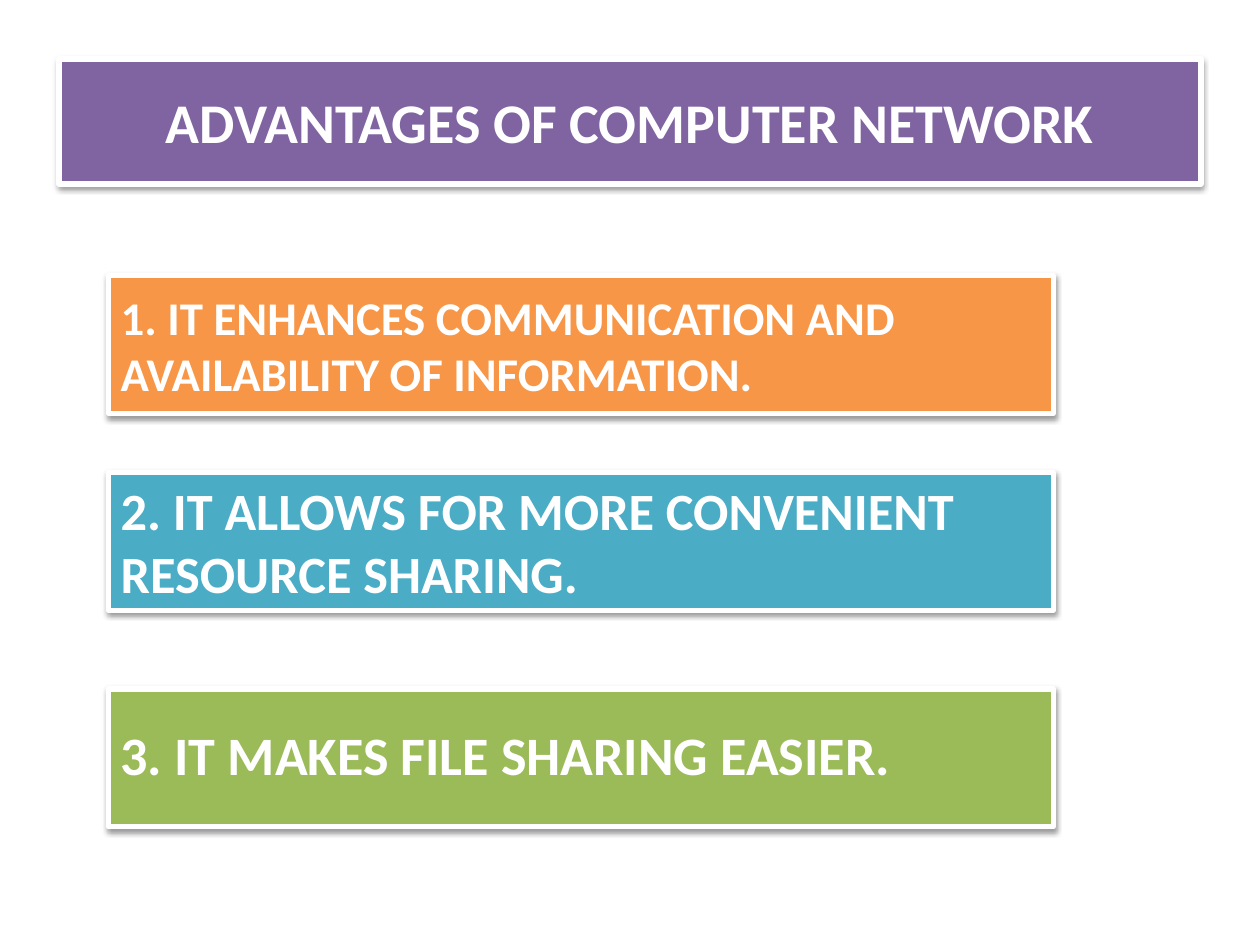
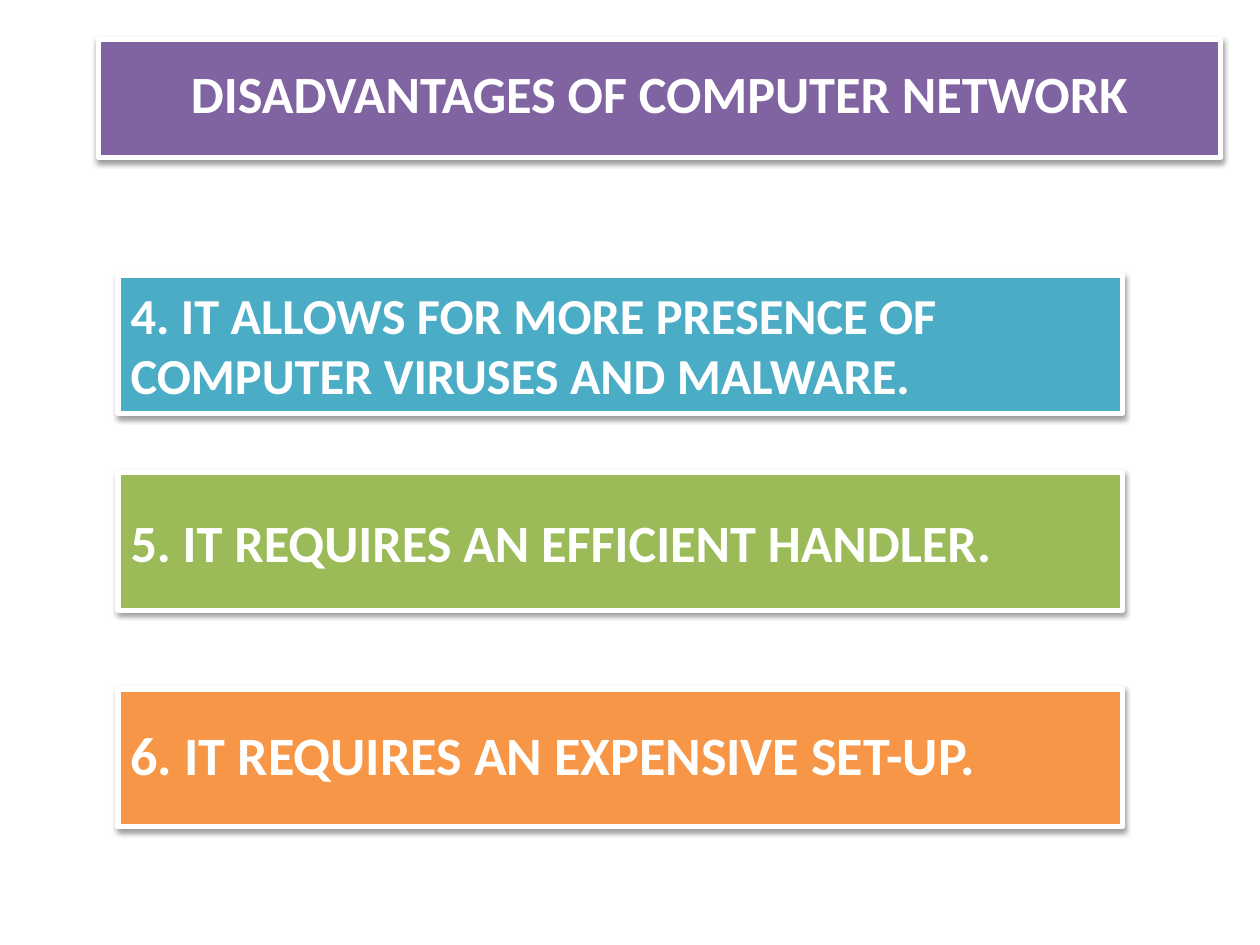
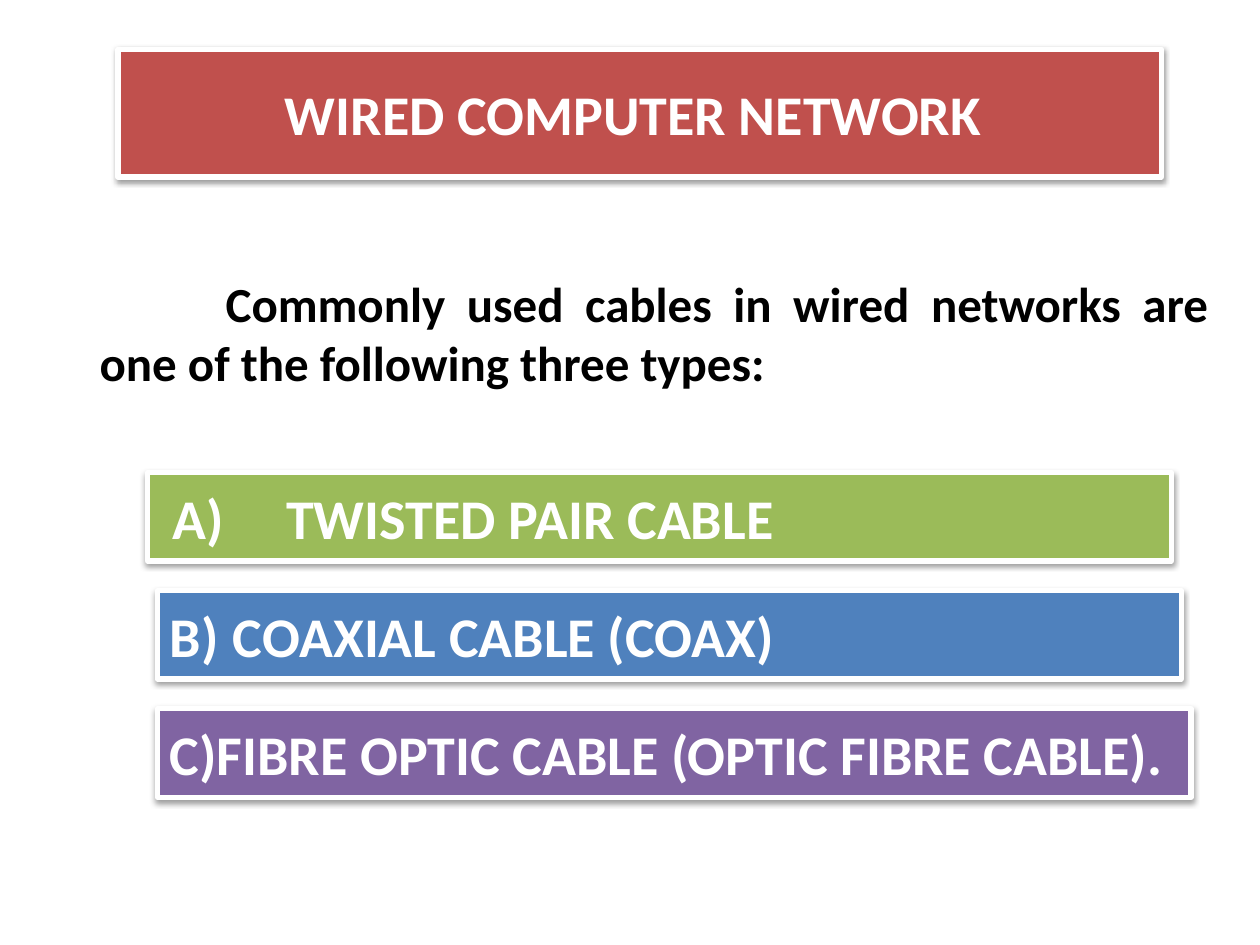
import dataclasses
import typing

import lxml.etree
import pptx
import pptx.dml.color
import pptx.enum.shapes
import pptx.enum.text
import pptx.oxml.ns
import pptx.util

# Slide size and the grid of square cells laid over it
WIDTH, HEIGHT = pptx.util.Inches(10), pptx.util.Inches(7.5)
COLUMNS, ROWS = 128, 96

# Shared style
FONT = "Calibri"
WHITE, BLACK = "FFFFFF", "000000"
PURPLE, ORANGE, TEAL = "8064A2", "F79646", "4BACC6"
GREEN, BLUE, RED = "9BBB59", "4F81BD", "C0504D"
ALIGN = pptx.enum.text.PP_ALIGN
ANCHOR = pptx.enum.text.MSO_ANCHOR


@dataclasses.dataclass(frozen=True)
class Area:
    column: float
    row: float
    columns: float
    rows: float

    def box(self) -> tuple[int, int, int, int]:
        return (round(WIDTH * self.column / COLUMNS),
                round(HEIGHT * self.row / ROWS),
                round(WIDTH * self.columns / COLUMNS),
                round(HEIGHT * self.rows / ROWS))


@dataclasses.dataclass(frozen=True)
class Panel:
    text: str
    area: Area
    fill: str
    size: float = 32
    align: typing.Any = ALIGN.LEFT
    spacing: float = 1.0


def color(value: str) -> pptx.dml.color.RGBColor:
    return pptx.dml.color.RGBColor.from_string(value)


def write(frame, text: str, *, size: float, ink: str = WHITE, align=ALIGN.LEFT,
          anchor=ANCHOR.MIDDLE, spacing: float = 1.0, margin_top: float = 0.05,
          left_indent: float = 0, first_indent: float = 0) -> None:
    """Fill a text frame with one bold paragraph; indents are in inches."""
    frame.word_wrap = True
    frame.vertical_anchor = anchor
    frame.margin_top = pptx.util.Inches(margin_top)
    paragraph = frame.paragraphs[0]
    paragraph.alignment = align
    paragraph.line_spacing = spacing
    properties = paragraph._p.get_or_add_pPr()
    properties.set("marL", str(pptx.util.Inches(left_indent)))
    properties.set("indent", str(pptx.util.Inches(first_indent)))
    run = paragraph.add_run()
    run.text = text
    run.font.name = FONT
    run.font.size = pptx.util.Pt(size)
    run.font.bold = True
    run.font.color.rgb = color(ink)


def add_shadow(shape) -> None:
    """Cast a soft shadow straight down."""
    shape.shadow.inherit = False
    effects = shape._element.spPr.find(pptx.oxml.ns.qn("a:effectLst"))
    shadow = lxml.etree.SubElement(
        effects, pptx.oxml.ns.qn("a:outerShdw"),
        blurRad=str(pptx.util.Pt(3.1)), dist=str(pptx.util.Pt(1.6)),
        dir="5400000", rotWithShape="0")
    tint = lxml.etree.SubElement(shadow, pptx.oxml.ns.qn("a:srgbClr"), val=BLACK)
    lxml.etree.SubElement(tint, pptx.oxml.ns.qn("a:alpha"), val="38000")


def draw_panel(slide, panel: Panel) -> None:
    shape = slide.shapes.add_shape(
        pptx.enum.shapes.MSO_SHAPE.RECTANGLE, *panel.area.box())
    shape.fill.solid()
    shape.fill.fore_color.rgb = color(panel.fill)
    shape.line.color.rgb = color(WHITE)
    shape.line.width = pptx.util.Pt(3)
    add_shadow(shape)
    write(shape.text_frame, panel.text, size=panel.size,
          align=panel.align, spacing=panel.spacing)


def title(text: str, area: Area, fill: str = PURPLE, size: float = 32,
          spacing: float = 1.0) -> Panel:
    return Panel(text, area, fill, size, ALIGN.CENTER, spacing)


def points(column: float, columns: float,
           items: list[tuple[str, str, float]]) -> list[Panel]:
    """Stack three numbered points; the last one has tighter lines."""
    return [Panel(text, Area(column, row, columns, 14), fill, size, spacing=spacing)
            for (text, fill, size), row, spacing
            in zip(items, (28, 48, 70), (1.0, 1.0, 0.9))]


# Content of the three slides
ADVANTAGES = [
    title("ADVANTAGES OF COMPUTER NETWORK", Area(6, 6, 116, 12.7)),
    *points(11, 96, [
        ("1. IT ENHANCES COMMUNICATION AND AVAILABILITY OF INFORMATION.", ORANGE, 26.8),
        ("2. IT ALLOWS FOR MORE CONVENIENT RESOURCE SHARING.", TEAL, 29.9),
        ("3. IT MAKES FILE SHARING EASIER.", GREEN, 30.9),
    ]),
]
DISADVANTAGES = [
    title("DISADVANTAGES OF COMPUTER NETWORK", Area(10, 4, 114, 12),
          size=29.9, spacing=0.8),
    *points(12, 102, [
        ("4. IT ALLOWS FOR MORE PRESENCE OF COMPUTER VIRUSES AND MALWARE.", TEAL, 28.8),
        ("5. IT REQUIRES AN EFFICIENT HANDLER.", GREEN, 29.9),
        ("6. IT REQUIRES AN EXPENSIVE SET-UP.", ORANGE, 30.9),
    ]),
]
CABLES = [
    (" A)\tTWISTED PAIR CABLE", GREEN, 15, 104),
    ("B)\tCOAXIAL CABLE (COAX)", BLUE, 16, 104),
    ("C)FIBRE OPTIC CABLE (OPTIC FIBRE CABLE).", PURPLE, 16, 105),
]
WIRED = [
    title("WIRED COMPUTER NETWORK ", Area(12, 5, 106, 13), RED),
    *(Panel(text, Area(column, 48 + 12 * index, columns, 9), fill)
      for index, (text, fill, column, columns) in enumerate(CABLES)),
]
CABLE_INTRO = ("Commonly used cables in wired networks are "
               "one of the following three types:")


def main() -> None:
    deck = pptx.Presentation()
    deck.slide_width, deck.slide_height = WIDTH, HEIGHT
    blank = deck.slide_layouts[6]

    for panels in (ADVANTAGES, DISADVANTAGES, WIRED):
        slide = deck.slides.add_slide(blank)
        for panel in panels:
            draw_panel(slide, panel)

    # Introduction above the cable types, on the last slide
    intro = slide.shapes.add_textbox(*Area(4, 20, 120, 24).box())
    write(intro.text_frame, CABLE_INTRO, size=28, ink=BLACK, align=ALIGN.JUSTIFY,
          anchor=ANCHOR.TOP, margin_top=0.61, left_indent=0.38, first_indent=1)

    deck.save("out.pptx")


if __name__ == "__main__":
    main()
